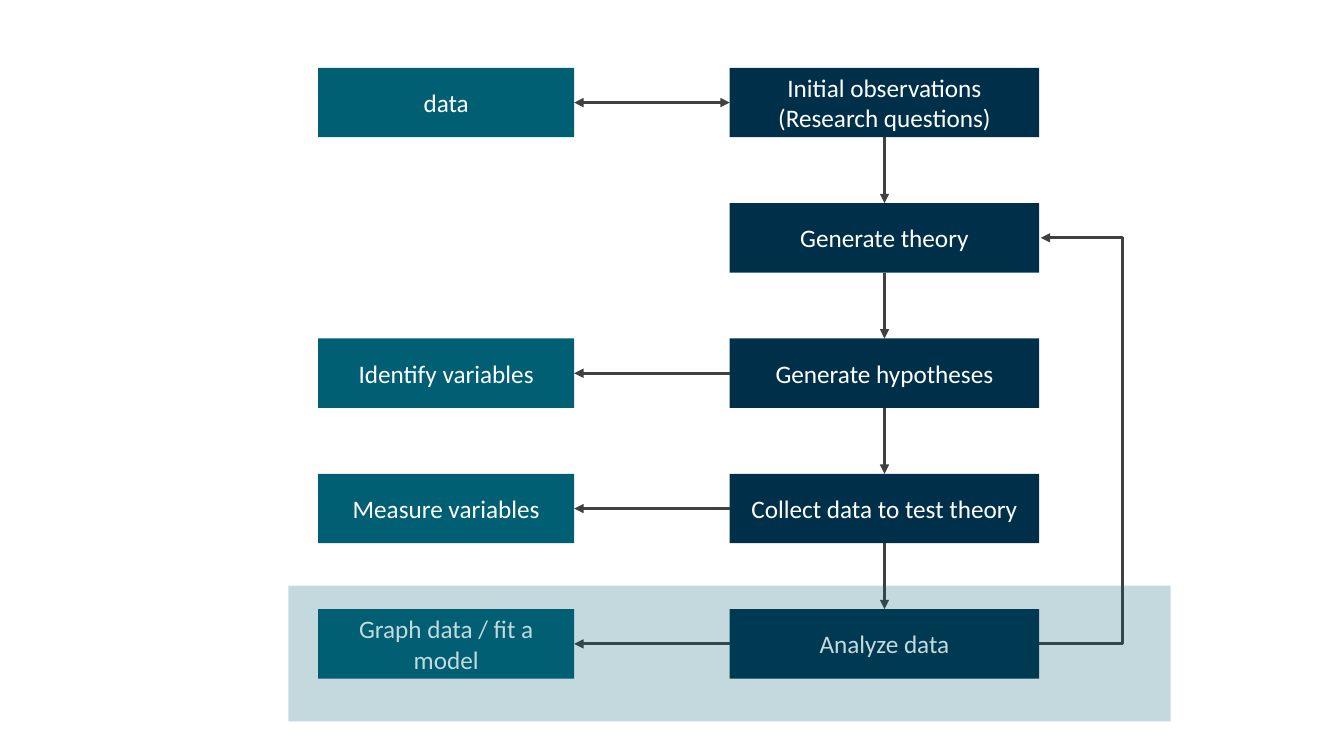
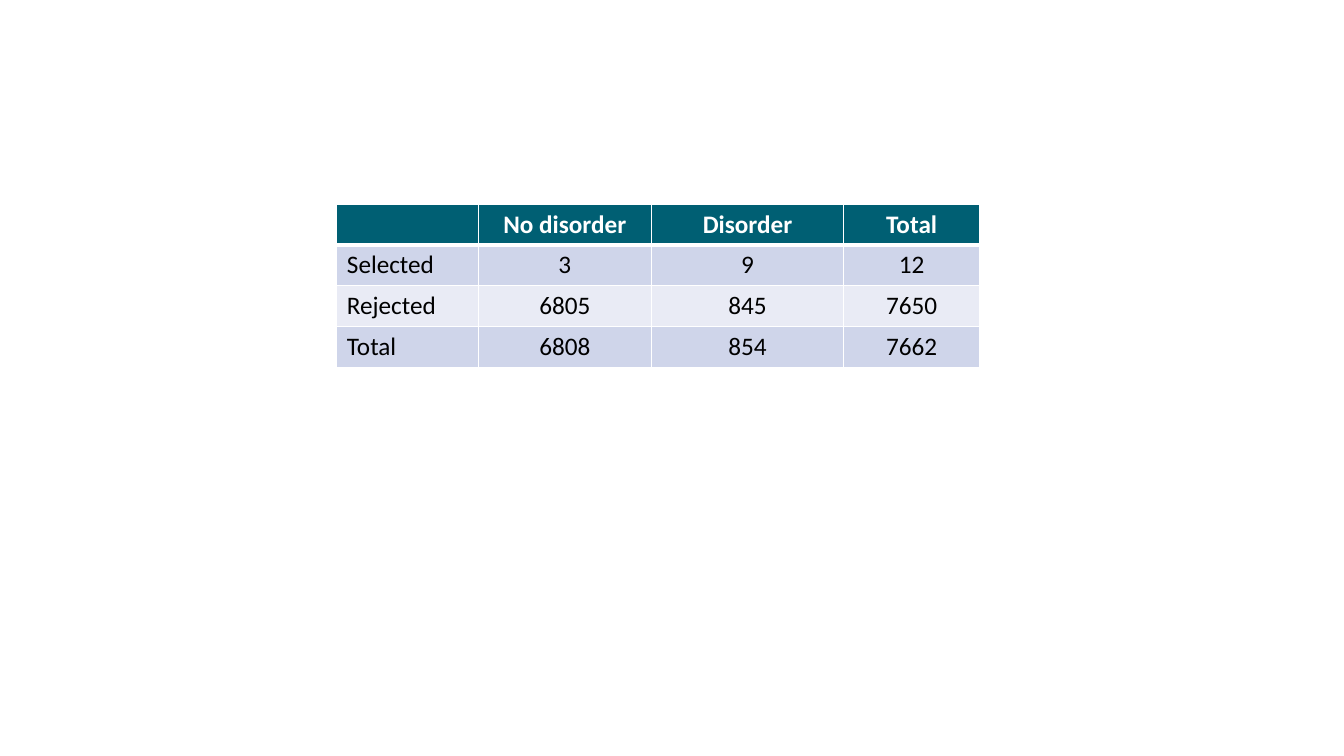
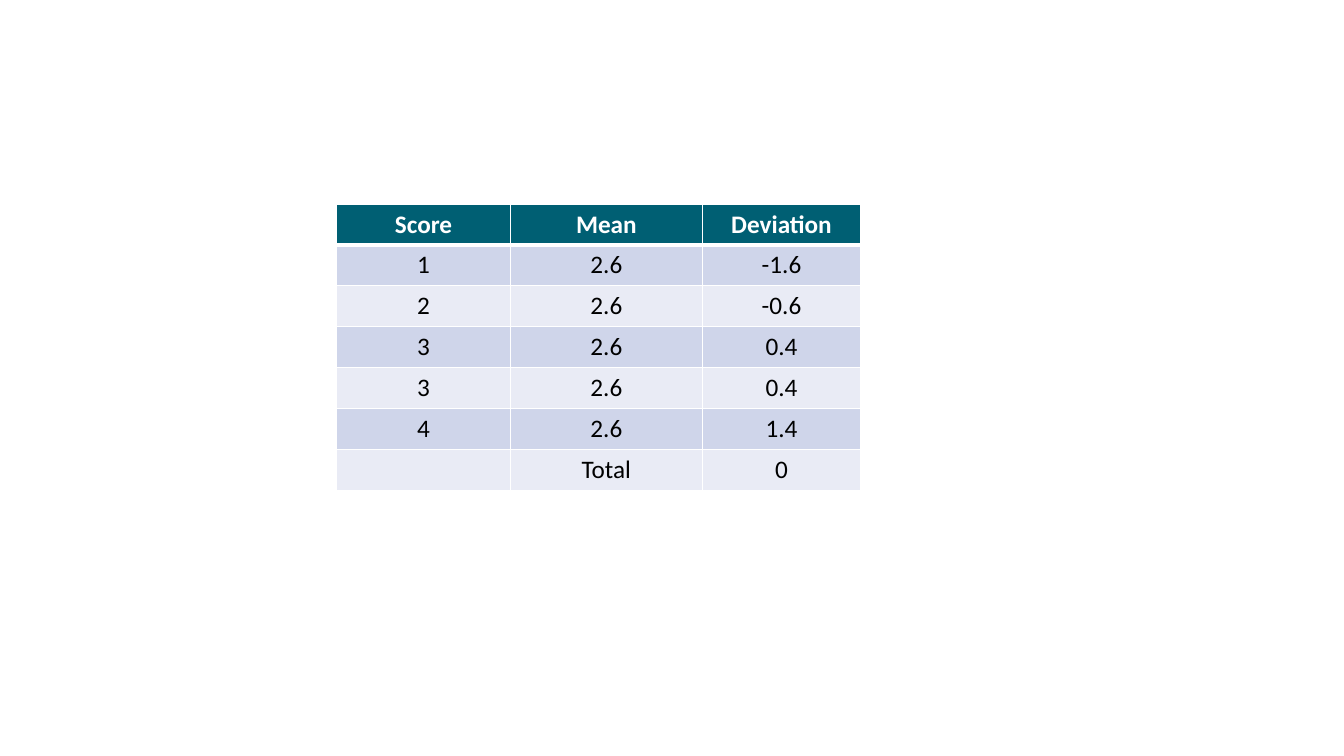
from itertools import pairwise
from lxml.etree import SubElement
from pptx import Presentation
from pptx.dml.color import RGBColor
from pptx.enum.shapes import MSO_CONNECTOR, MSO_SHAPE
from pptx.enum.text import MSO_ANCHOR, PP_ALIGN
from pptx.oxml.ns import qn
from pptx.util import Cm, Pt

INK = {
    "navy": "003049",
    "teal": "005F73",
    "line": "404040",
    "white": "FFFFFF",
    "black": "000000",
    "odd": "CFD5EA",
    "even": "E9EBF5",
}
FONT = "Calibri"
STEPS = [
    ("Initial observations\n(Research questions)", "data"),
    ("Generate theory", None),
    ("Generate hypotheses", "Identify variables"),
    ("Collect data to test theory", "Measure variables"),
    ("Analyze data", "Graph data / fit a model"),
]
CASES = [
    ["", "No disorder", "Disorder", "Total"],
    ["Selected", "3", "9", "12"],
    ["Rejected", "6805", "845", "7650"],
    ["Total", "6808", "854", "7662"],
]
SCORES = [
    ["Score", "Mean", "Deviation"],
    ["1", "2.6", "-1.6"],
    ["2", "2.6", "-0.6"],
    ["3", "2.6", "0.4"],
    ["3", "2.6", "0.4"],
    ["4", "2.6", "1.4"],
    ["", "Total", "0"],
]


def color(name):
    return RGBColor.from_string(INK[name])


def write(frame, text, ink="white", size=18, bold=False, align=PP_ALIGN.CENTER):
    frame.text = text
    frame.word_wrap = True
    for para in frame.paragraphs:
        para.alignment = align
        font = para.font
        font.name, font.size, font.bold = FONT, Pt(size), bold
        font.color.rgb = color(ink)
        for run in para.runs:
            run.font.name, run.font.size, run.font.bold = FONT, Pt(size), bold
            run.font.color.rgb = color(ink)


def block(slide, left, top, width, height, fill, text=None, alpha=None):
    shape = slide.shapes.add_shape(
        MSO_SHAPE.RECTANGLE, Cm(left), Cm(top), Cm(width), Cm(height))
    shape.shadow.inherit = False
    shape.fill.solid()
    shape.fill.fore_color.rgb = color(fill)
    shape.line.fill.background()
    if text:
        write(shape.text_frame, text)
        shape.text_frame.vertical_anchor = MSO_ANCHOR.MIDDLE
    if alpha:
        tint = shape.fill._xPr.find(qn("a:solidFill"))[0]
        SubElement(tint, qn("a:alpha"), val=str(alpha * 1000))
    return shape


def arrow(slide, kind, start=(0, 0), end=(0, 0), both=False):
    link = slide.shapes.add_connector(kind, *map(Cm, start + end))
    link.line.width = Pt(2.25)
    link.line.color.rgb = color("line")
    stroke = link.line._get_or_add_ln()
    for tip in ["headEnd", "tailEnd"] if both else ["tailEnd"]:
        SubElement(stroke, qn("a:" + tip), type="triangle")
    SubElement(link._element.spPr, qn("a:effectLst"))
    return link


def join(slide, source, out, target, into, both=False):
    link = arrow(slide, MSO_CONNECTOR.STRAIGHT, both=both)
    link.begin_connect(source, out)
    link.end_connect(target, into)


def loop(slide, x, low, high, reach):
    gap = 0.04
    link = arrow(slide, MSO_CONNECTOR.ELBOW, (x, low), (x + gap, high))
    bend = link._element.spPr.find(qn("a:prstGeom"))
    guides = bend.get_or_add_avLst()
    SubElement(guides, qn("a:gd"), name="adj1",
               fmla=f"val {round(reach / gap * 100000)}")


def flow(slide, left, top, width, height):
    tall, side, main = 1.75, 6.45, 7.8
    pitch = (height - tall) / (len(STEPS) - 1)
    right = left + width
    chain = []
    for row, (step, note) in enumerate(STEPS):
        y = top + row * pitch
        box = block(slide, right - main, y, main, tall, "navy", step)
        chain.append(box)
        if note:
            aside = block(slide, left, y, side, tall, "teal", note)
            join(slide, box, 1, aside, 3, both=row == 0)
    for upper, lower in pairwise(chain):
        join(slide, upper, 2, lower, 0)
    mid = top + tall / 2
    loop(slide, right, mid + 4 * pitch, mid + pitch, 2.1)
    block(slide, left - 0.75, top + height - 2.34, width + 4.06, 3.42,
          "teal", alpha=23)


def edge(cell, heavy):
    props = cell._tc.get_or_add_tcPr()
    for side in "LRTB":
        wide = Pt(3 if side == heavy else 1)
        stroke = SubElement(props, qn("a:ln" + side), w=str(wide))
        paint = SubElement(stroke, qn("a:solidFill"))
        SubElement(paint, qn("a:srgbClr"), val=INK["white"])


def grid(slide, left, top, widths, rows, label=False):
    tall = 1.03
    table = slide.shapes.add_table(
        len(rows), len(widths), Cm(left), Cm(top),
        Cm(sum(widths)), Cm(tall * len(rows))).table
    for col, width in zip(table.columns, widths):
        col.width = Cm(width)
    for r, row in enumerate(rows):
        table.rows[r].height = Cm(tall)
        head = r == 0
        for c, text in enumerate(row):
            cell = table.cell(r, c)
            edge(cell, {0: "B", 1: "T"}.get(r))
            cell.fill.solid()
            cell.fill.fore_color.rgb = color(
                "teal" if head else "odd" if r % 2 else "even")
            write(cell.text_frame, text, ink="white" if head else "black",
                  bold=head,
                  align=PP_ALIGN.LEFT if label and c == 0 else PP_ALIGN.CENTER)


def main():
    deck = Presentation()
    deck.slide_width, deck.slide_height = Cm(33.87), Cm(19.05)
    first, second, third = [
        deck.slides.add_slide(deck.slide_layouts[6]) for _ in range(3)]
    flow(first, 8.02, 1.71, 18.17, 15.39)
    grid(second, 8.49, 5.14, [3.56, 4.37, 4.84, 3.43], CASES, label=True)
    grid(third, 8.49, 5.14, [4.37, 4.84, 3.99], SCORES)
    deck.save("out.pptx")


if __name__ == "__main__":
    main()
